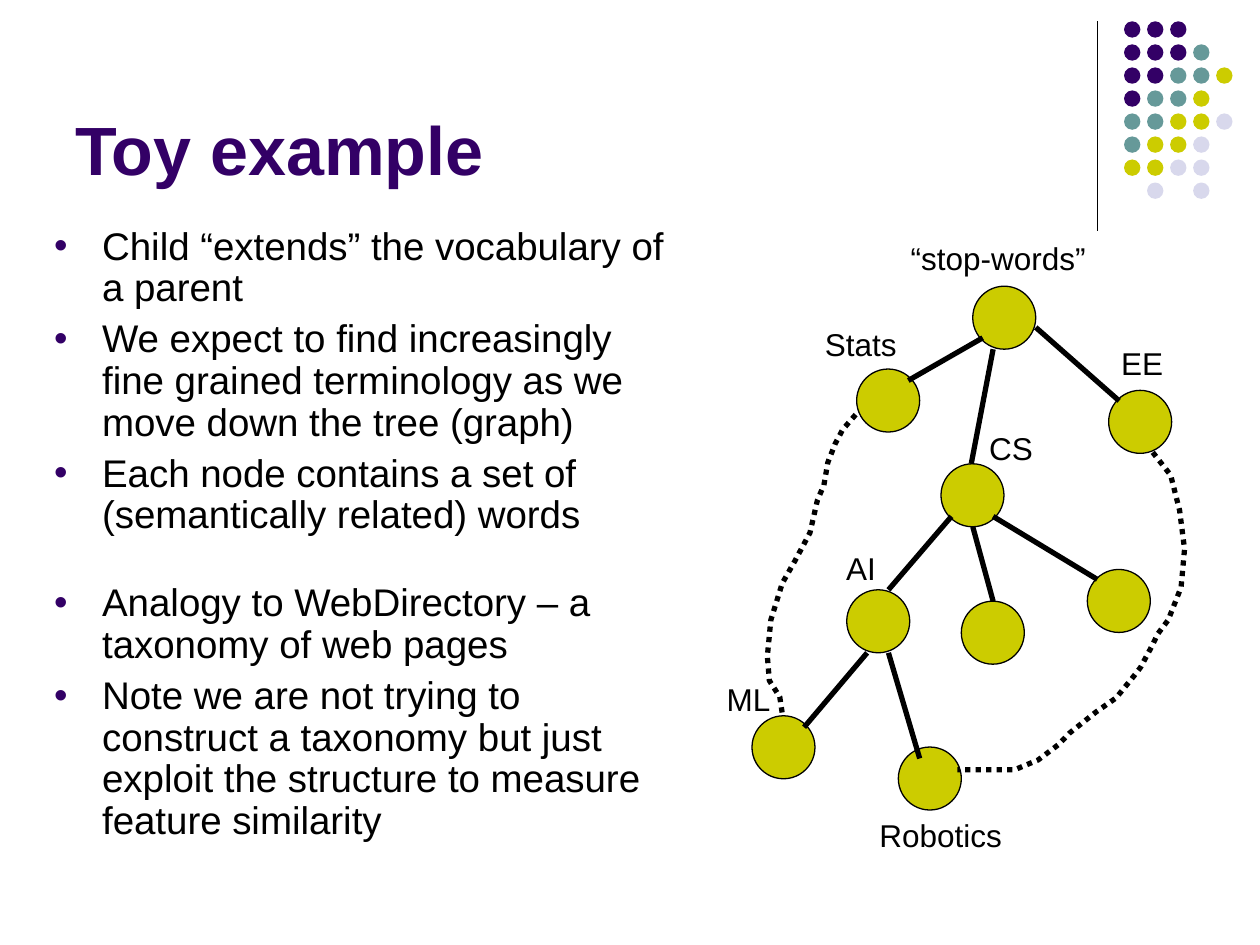
from itertools import product
from lxml.etree import SubElement
from pptx import Presentation
from pptx.dml.color import RGBColor
from pptx.enum.dml import MSO_LINE
from pptx.enum.shapes import MSO_CONNECTOR, MSO_SHAPE
from pptx.enum.text import MSO_ANCHOR, MSO_AUTO_SIZE
from pptx.oxml.ns import qn
from pptx.util import Cm, Pt

COLORS = {"purple": "330066", "teal": "669999", "olive": "CCCC00",
          "lavender": "D8D8EC", "black": "000000"}
DOT_COLORS = {"P": "purple", "T": "teal", "O": "olive", "L": "lavender"}
DOT_ROWS = ["PPP", "PPPT", "PPTTO", "PTTO", "TTOOL", "TOOL", "OOLL", " L L"]
DOT_PITCH = 3.25 / 7
NODE_SIZE = 1.27

BULLETS = [
    ("Child “extends” the vocabulary of a parent", 5.5),
    ("We expect to find increasingly fine grained terminology as we move "
     "down the tree (graph)", 5.5),
    ("Each node contains a set of (semantically related) words", 5.5),
    ("Analogy to WebDirectory – a taxonomy of web pages", 26.5),
    ("Note we are not trying to construct a taxonomy but just exploit the "
     "structure to measure feature similarity", 5.5),
]
NODES = [(19.61, 5.77), (22.35, 7.87), (17.27, 7.44), (18.97, 9.35), (21.92, 11.48),
         (17.07, 11.89), (19.38, 12.12), (18.11, 15.06), (15.16, 14.43)]
EDGES = [
    (19.81, 6.81, 18.31, 7.67), (20.02, 7.04, 19.58, 9.35),
    (20.88, 6.6, 22.56, 8.08), (19.18, 10.41, 17.91, 11.89),
    (22.12, 11.68, 20.02, 10.41), (19.61, 10.62, 20.02, 12.12),
    (17.48, 13.16, 16.21, 14.66), (17.91, 13.16, 18.54, 15.29),
]
LABELS = [
    ("“stop-words”", 18.11, 4.7, 4.1), ("CS", 19.69, 8.53, 1.45),
    ("Stats", 16.38, 6.43, 2), ("ML", 14.4, 13.59, 1.45),
    ("AI", 16.81, 10.95, 1.2), ("EE", 22.35, 6.81, 1.4),
    ("Robotics", 17.48, 16.33, 3),
]
EE_TO_ROBOTICS = [
    (23.24, 9.12), (23.6, 9.58), (23.78, 10.29), (23.88, 11.07), (23.81, 11.84),
    (23.55, 12.5), (23.34, 12.78), (23.22, 13.03), (22.99, 13.46), (22.85, 13.64),
    (22.5, 14.07), (22.1, 14.35), (21.56, 14.78), (21.34, 15.01), (20.93, 15.32),
    (20.45, 15.52), (19.3, 15.52),
]
STATS_TO_ML = [
    (17.25, 8.36), (16.99, 8.66), (16.84, 8.94), (16.69, 9.32), (16.61, 9.78),
    (16.48, 10.08), (16.33, 10.74), (16.03, 11.3), (15.77, 11.76), (15.54, 12.5),
    (15.47, 13.23), (15.51, 13.72), (15.72, 14.05), (15.77, 14.38),
]


def color(name):
    return RGBColor.from_string(COLORS[name])


def write(para, text, size=18, ink="black", bold=False, font="Arial"):
    span = para.add_run()
    span.text = text
    span.font.name = font
    span.font.size = Pt(size)
    span.font.bold = bold
    span.font.color.rgb = color(ink)


def add_bullet(para):
    properties = para._p.get_or_add_pPr()
    properties.set("marL", str(Cm(0.97)))
    properties.set("indent", str(-Cm(0.97)))
    bullet_color = SubElement(properties, qn("a:buClr"))
    SubElement(bullet_color, qn("a:srgbClr"), val=COLORS["purple"])
    SubElement(properties, qn("a:buFont"), typeface="Arial")
    SubElement(properties, qn("a:buChar"), char="•")


class SlideBuilder:
    def __init__(self, page, ink="black", thick=3, thin=0.75):
        self.page = page
        self.ink = ink
        self.thick = thick
        self.thin = thin

    def outline(self, line, width):
        line.color.rgb = color(self.ink)
        line.width = Pt(width)

    def circle(self, left, top, size, fill, outlined=False):
        shape = self.page.shapes.add_shape(
            MSO_SHAPE.OVAL, Cm(left), Cm(top), Cm(size), Cm(size))
        shape.shadow.inherit = False
        shape.fill.solid()
        shape.fill.fore_color.rgb = color(fill)
        if outlined:
            self.outline(shape.line, self.thin)
        else:
            shape.line.fill.background()

    def line(self, ends, width):
        connector = self.page.shapes.add_connector(
            MSO_CONNECTOR.STRAIGHT, *[Cm(value) for value in ends])
        self.outline(connector.line, width)
        SubElement(connector._element.spPr, qn("a:effectLst"))

    def dotted_curve(self, points):
        start, *rest = [(Cm(x), Cm(y)) for x, y in points]
        builder = self.page.shapes.build_freeform(*start)
        builder.add_line_segments(rest, close=False)
        curve = builder.convert_to_shape()
        curve.shadow.inherit = False
        curve.fill.background()
        self.outline(curve.line, self.thick)
        curve.line.dash_style = MSO_LINE.ROUND_DOT

    def text_box(self, left, top, width, height):
        box = self.page.shapes.add_textbox(Cm(left), Cm(top), Cm(width), Cm(height))
        box.text_frame.word_wrap = True
        return box.text_frame

    def title(self, text):
        frame = self.text_box(1.27, 0.33, 20.95, 3.6)
        frame.vertical_anchor = MSO_ANCHOR.BOTTOM
        write(frame.paragraphs[0], text, size=39, ink="purple", bold=True)

    def bullet_list(self, items):
        frame = self.text_box(0.84, 4.45, 13.13, 13.13)
        for index, (text, gap) in enumerate(items):
            para = frame.add_paragraph() if index else frame.paragraphs[0]
            para.line_spacing = 0.9
            para.space_before = Pt(gap)
            add_bullet(para)
            write(para, text, size=22)

    def label(self, text, left, top, width):
        frame = self.text_box(left, top, width, 1.02)
        frame.word_wrap = False
        frame.auto_size = MSO_AUTO_SIZE.SHAPE_TO_FIT_TEXT
        write(frame.paragraphs[0], text)


def main():
    deck = Presentation()
    deck.slide_width, deck.slide_height = Cm(25.4), Cm(19.05)
    page = deck.slides.add_slide(deck.slide_layouts[6])
    builder = SlideBuilder(page)

    builder.line((22.12, 0.43, 22.12, 4.65), builder.thin)
    for row, column in product(range(len(DOT_ROWS)), range(5)):
        code = DOT_ROWS[row].ljust(5)[column]
        if code in DOT_COLORS:
            builder.circle(22.66 + column * DOT_PITCH, 0.43 + row * DOT_PITCH,
                           0.33, DOT_COLORS[code])

    builder.title("Toy example")
    builder.bullet_list(BULLETS)
    for left, top in NODES:
        builder.circle(left, top, NODE_SIZE, "olive", outlined=True)
    for ends in EDGES:
        builder.line(ends, builder.thick)
    for label in LABELS:
        builder.label(*label)
    for points in (EE_TO_ROBOTICS, STATS_TO_ML):
        builder.dotted_curve(points)

    deck.save("out.pptx")


if __name__ == "__main__":
    main()
